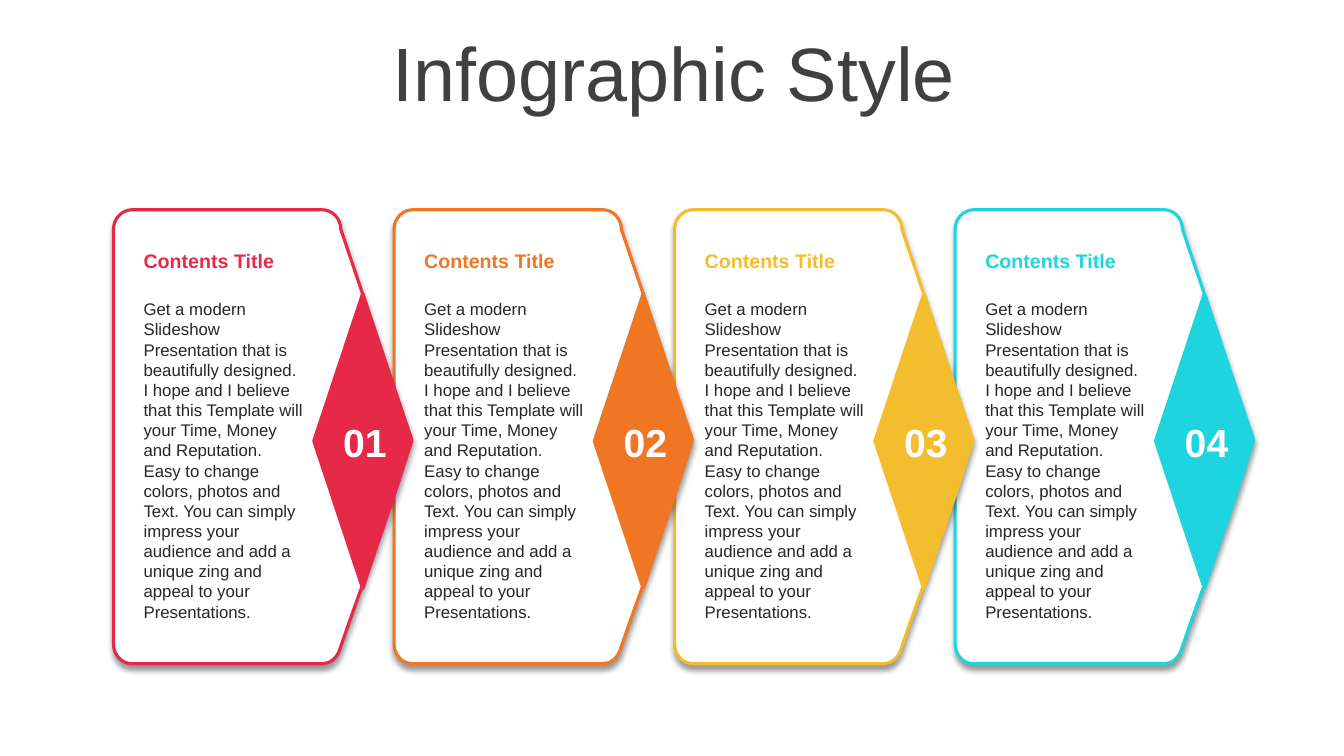
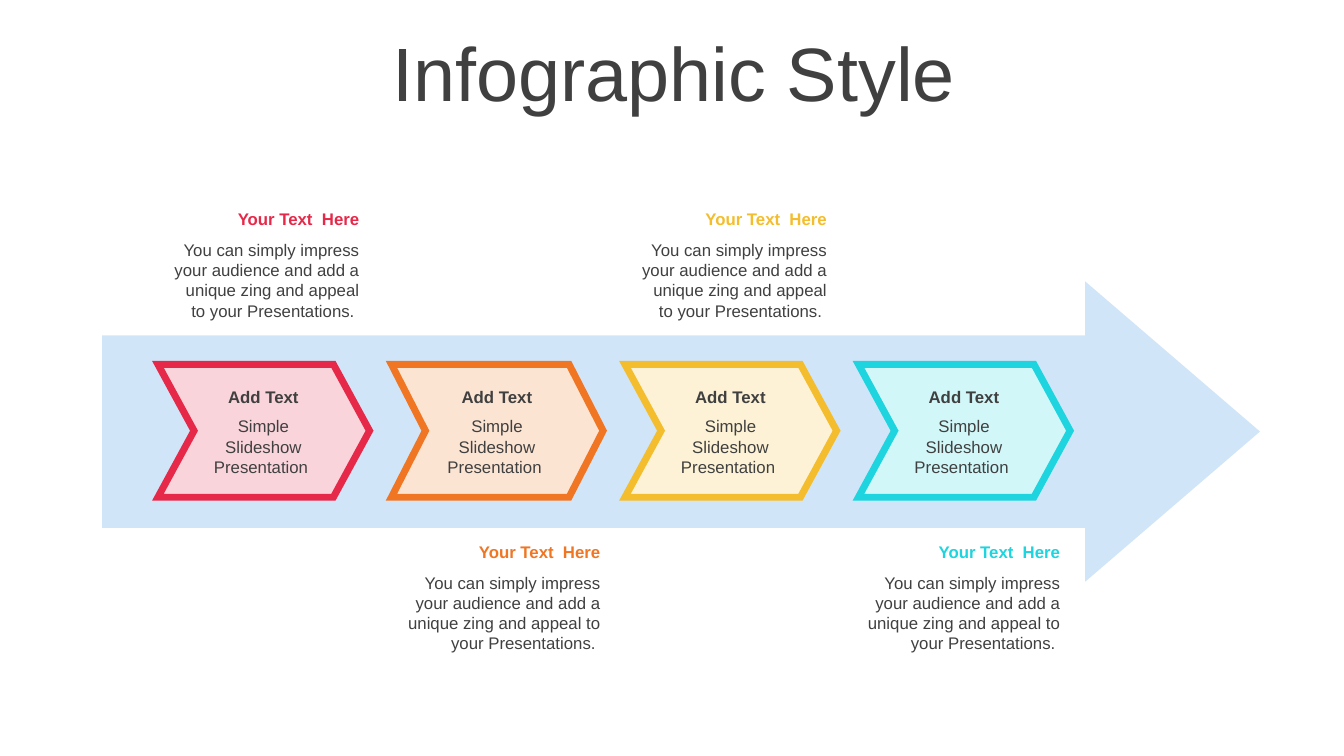
from lxml import etree
from pptx import Presentation
from pptx.dml.color import RGBColor
from pptx.enum.shapes import MSO_SHAPE as SHAPE
from pptx.enum.text import MSO_ANCHOR as ANCHOR, PP_ALIGN as ALIGN
from pptx.oxml.ns import qn
from pptx.util import Pt

TITLE = "Infographic Style"
FONT = "Arial"
WHITE = RGBColor(0xFF, 0xFF, 0xFF)
GRAY = RGBColor(0x40, 0x40, 0x40)
DARK = RGBColor(0x26, 0x26, 0x26)
RED = RGBColor(0xE6, 0x29, 0x49)
ORANGE = RGBColor(0xF0, 0x76, 0x24)
YELLOW = RGBColor(0xF4, 0xBD, 0x2D)
CYAN = RGBColor(0x1E, 0xD4, 0xDE)
PALE_BLUE = RGBColor(0xD1, 0xE5, 0xF9)
PALE_RED = RGBColor(0xFA, 0xD4, 0xDB)
PALE_ORANGE = RGBColor(0xFC, 0xE4, 0xD3)
PALE_YELLOW = RGBColor(0xFD, 0xF2, 0xD5)
PALE_CYAN = RGBColor(0xD2, 0xF7, 0xF9)

CARDS = [("01", RED), ("02", ORANGE), ("03", YELLOW), ("04", CYAN)]
CARD_TITLE = "Contents Title"
CARD_BODY = (
    "Get a modern Slideshow Presentation that is beautifully designed. "
    "I hope and I believe that this Template will your Time, Money and "
    "Reputation. Easy to change colors, photos and Text. You can simply "
    "impress your audience and add a unique zing and appeal to your "
    "Presentations."
)
CARD_LEFT, CARD_TOP, CARD_PITCH = 81.1, 149.8, 200.4
CARD_START = (13.4, 0)
CARD_PATH = [
    [(149, 0)],
    [(156.3, 0), (162.4, 6.3), (162.4, 14)],
    [(213, 164)],
    [(197.3, 218), (178.6, 264), (161.3, 315)],
    [(159.3, 320.5), (154.3, 324.3), (149, 324.3)],
    [(13.4, 324.3)],
    [(6, 324.3), (0, 318), (0, 310.3)],
    [(0, 14)],
    [(0, 6.3), (6, 0), CARD_START],
]

STEP_TITLE = "Add Text"
STEP_BODY = "Simple Slideshow Presentation "
NOTE_TITLE = "Your Text  Here"
NOTE_BODY = ("You can simply impress your audience and add a unique zing "
             "and appeal to your Presentations. ")
STEP_LEFT, STEP_PITCH = 112.8, 166.8
NOTE_ABOVE, NOTE_BELOW = (145.8, 148), (383.4, 156)
STEPS = [
    (RED, PALE_RED, 0.272, 263.8, NOTE_ABOVE),
    (ORANGE, PALE_ORANGE, 0.256, 436, NOTE_BELOW),
    (YELLOW, PALE_YELLOW, 0.272, 597.8, NOTE_ABOVE),
    (CYAN, PALE_CYAN, 0.272, 764.4, NOTE_BELOW),
]


def add_text(s, text, x, y, w, h, size=12, color=GRAY, bold=False,
             align=ALIGN.LEFT, anchor=ANCHOR.TOP, inset=3.6, spacing=None):
    tf = s.shapes.add_textbox(Pt(x), Pt(y), Pt(w), Pt(h)).text_frame
    tf.word_wrap = True
    tf.vertical_anchor = anchor
    tf.margin_top = tf.margin_bottom = Pt(inset)
    p = tf.paragraphs[0]
    p.alignment = align
    p.line_spacing = spacing
    r = p.add_run()
    r.text = text
    r.font.name, r.font.size, r.font.bold = FONT, Pt(size), bold
    r.font.color.rgb = color


def paint(sp, fill, line=None, width=2.25):
    sp.shadow.inherit = False
    sp.fill.solid()
    sp.fill.fore_color.rgb = fill
    if line is None:
        sp.line.fill.background()
    else:
        sp.line.color.rgb = line
        sp.line.width = Pt(width)


def add_preset(s, kind, x, y, w, h, fill, line=None, width=2.25, adjust=()):
    sp = s.shapes.add_shape(kind, Pt(x), Pt(y), Pt(w), Pt(h))
    for i, value in enumerate(adjust):
        sp.adjustments[i] = value
    paint(sp, fill, line, width)
    return sp


def add_shadow(sp):
    effects = sp._element.spPr.find(qn("a:effectLst"))
    shadow = etree.SubElement(effects, qn("a:outerShdw"), blurRad=str(Pt(4)),
                              dist=str(Pt(3)), dir="5400000", algn="t",
                              rotWithShape="0")
    color = etree.SubElement(shadow, qn("a:srgbClr"), val="000000")
    etree.SubElement(color, qn("a:alpha"), val="40000")


def sharpen_corners(sp):
    etree.SubElement(sp.line._get_or_add_ln(), qn("a:miter"), lim="800000")


def bend_segments(sp, segments):
    """Merge the three lines of each curved segment into one Bezier curve."""
    lines = iter(list(sp._element.iter(qn("a:lnTo"))))
    for segment in segments:
        group = [next(lines) for _ in segment]
        if len(group) == 3:
            bezier = etree.Element(qn("a:cubicBezTo"))
            group[0].addprevious(bezier)
            for line in group:
                bezier.append(line[0])
                line.getparent().remove(line)


def add_outline(s, x, y, start, segments):
    points = [(Pt(x + px), Pt(y + py))
              for px, py in [start] + sum(segments, [])]
    builder = s.shapes.build_freeform(*points[0])
    builder.add_line_segments(points[1:], close=True)
    sp = builder.convert_to_shape()
    bend_segments(sp, segments)
    return sp


def add_card(s, x, number, color):
    sp = add_outline(s, x, CARD_TOP, CARD_START, CARD_PATH)
    paint(sp, WHITE, color)
    add_shadow(sp)
    add_preset(s, SHAPE.DIAMOND, x + 143, 209.5, 70, 211, color, color)
    add_text(s, CARD_BODY, x + 14.4, 210, 128.4, 240, color=DARK)
    add_text(s, CARD_TITLE, x + 14.4, 174.2, 128.4, 24.5, size=14,
             color=color, bold=True)
    add_text(s, number, x + 147.8, 298.5, 63.4, 34, size=28, color=WHITE,
             bold=True, align=ALIGN.CENTER, anchor=ANCHOR.MIDDLE, inset=0)


def add_step(s, x, color, pale, notch, note_right, note_place):
    sp = add_preset(s, SHAPE.CHEVRON, x, 260.2, 151.2, 95, pale, color, 5,
                    [notch])
    sharpen_corners(sp)
    add_text(s, STEP_TITLE, x + 25, 272.6, 100.8, 21.6, bold=True,
             align=ALIGN.CENTER)
    add_text(s, STEP_BODY, x + 25, 293.7, 100.8, 51, align=ALIGN.CENTER)
    top, w = note_place
    left = note_right - w
    add_text(s, NOTE_TITLE, left, top, w, 21.6, color=color, bold=True,
             align=ALIGN.RIGHT)
    add_text(s, NOTE_BODY, left, top + 21.9, w, 65.5, align=ALIGN.RIGHT)


def add_slide(prs):
    s = prs.slides.add_slide(prs.slide_layouts[6])
    add_text(s, TITLE, 25.5, 26.6, 911.5, 57, size=54, align=ALIGN.CENTER,
             anchor=ANCHOR.MIDDLE, spacing=0.9)
    return s


def main():
    prs = Presentation()
    prs.slide_width, prs.slide_height = Pt(960), Pt(540)

    s = add_slide(prs)
    for i, card in reversed(list(enumerate(CARDS))):
        add_card(s, CARD_LEFT + i * CARD_PITCH, *card)

    s = add_slide(prs)
    add_preset(s, SHAPE.RIGHT_ARROW, 73, 201, 827, 214.5, PALE_BLUE,
               adjust=(0.641, 0.582))
    for i, step in enumerate(STEPS):
        add_step(s, STEP_LEFT + i * STEP_PITCH, *step)

    prs.save("out.pptx")


if __name__ == "__main__":
    main()
